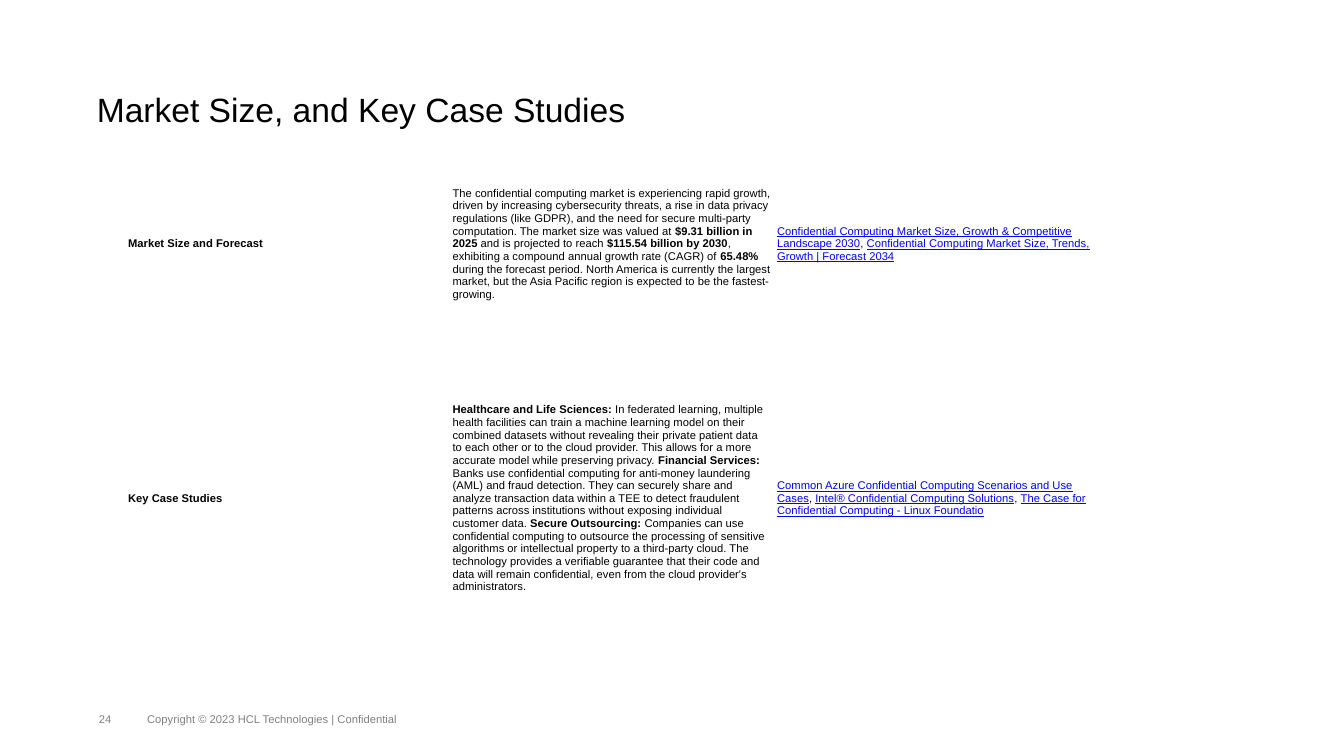
from dataclasses import dataclass

import pptx
import pptx.dml.color
import pptx.enum.text
import pptx.oxml
import pptx.oxml.ns
import pptx.util

Pt = pptx.util.Pt
ANCHOR = pptx.enum.text.MSO_ANCHOR
FONT = "Arial"
BLACK = "000000"
LINK_BLUE = "0000FF"


@dataclass
class Run:
    text: str
    bold: bool = False
    color: str = BLACK
    underline: bool = False


@dataclass
class FooterItem:
    text: str
    left: float
    width: float


def rgb(color: str) -> pptx.dml.color.RGBColor:
    return pptx.dml.color.RGBColor.from_string(color)


def bold(text: str) -> Run:
    return Run(text, bold=True)


def source(text: str) -> Run:
    return Run(text, color=LINK_BLUE, underline=True)


def add_run(p, run: Run, size: float):
    r = p.add_run()
    r.text = run.text
    r.font.name = FONT
    r.font.size = Pt(size)
    r.font.bold = run.bold
    r.font.underline = run.underline
    r.font.color.rgb = rgb(run.color)
    return r


def set_margins(box, horizontal: float, vertical: float) -> None:
    box.margin_left = box.margin_right = Pt(horizontal)
    box.margin_top = box.margin_bottom = Pt(vertical)


def make_half_transparent(r) -> None:
    """Give the run's text colour 50% opacity."""
    color = r.font.fill._xPr.find(".//" + pptx.oxml.ns.qn("a:srgbClr"))
    color.append(pptx.oxml.parse_xml(
        f'<a:alpha {pptx.oxml.ns.nsdecls("a")} val="50000"/>'))


def add_title(s, text: str) -> None:
    sp = s.shapes.title
    sp.left, sp.top, sp.width, sp.height = Pt(69.1), Pt(68.4), Pt(820.8), Pt(24.5)
    tf = sp.text_frame
    tf.word_wrap = True
    tf.auto_size = pptx.enum.text.MSO_AUTO_SIZE.NONE
    tf.vertical_anchor = ANCHOR.TOP
    set_margins(tf, 0, 0)
    p = tf.paragraphs[0]
    p.alignment = pptx.enum.text.PP_ALIGN.LEFT
    p.line_spacing = 0.84
    add_run(p, Run(text), 24)


def add_footer(s, item: FooterItem) -> None:
    sp = s.shapes.add_textbox(Pt(item.left), Pt(509), Pt(item.width), Pt(9.4))
    tf = sp.text_frame
    tf.word_wrap = True
    tf.vertical_anchor = ANCHOR.BOTTOM
    set_margins(tf, 0, 0)
    make_half_transparent(add_run(tf.paragraphs[0], Run(item.text), 8))


def add_findings(s, rows: list[list[list[Run]]], heights: list[float]) -> None:
    column_width = 231.84
    columns = len(rows[0])
    table = s.shapes.add_table(
        len(rows), columns, Pt(89.3), Pt(105.8),
        Pt(column_width * columns), Pt(sum(heights))).table
    table.first_row = table.horz_banding = False
    for column in table.columns:
        column.width = Pt(column_width)
    for i, (row, height) in enumerate(zip(rows, heights)):
        table.rows[i].height = Pt(height)
        for j, runs in enumerate(row):
            cell = table.cell(i, j)
            cell.fill.background()
            cell.vertical_anchor = ANCHOR.MIDDLE
            set_margins(cell, 2.2, 0.7)
            for run in runs:
                add_run(cell.text_frame.paragraphs[0], run, 8)


FOOTER = [
    FooterItem("24", 70.6, 18.7),
    FooterItem("Copyright © 2023 HCL Technologies | Confidential", 105.1, 324),
]

ROWS = [
    [
        [bold("Market Size and Forecast")],
        [
            Run("The confidential computing market is experiencing rapid growth, driven by "
                "increasing cybersecurity threats, a rise in data privacy regulations (like "
                "GDPR), and the need for secure multi-party computation. The market size was "
                "valued at "),
            bold("$9.31 billion in 2025"),
            Run(" and is projected to reach "),
            bold("$115.54 billion by 2030"),
            Run(", exhibiting a compound annual growth rate (CAGR) of "),
            bold("65.48%"),
            Run(" during the forecast period. North America is currently the largest market, "
                "but the Asia Pacific region is expected to be the fastest-growing."),
        ],
        [
            source("Confidential Computing Market Size, Growth & Competitive Landscape 2030"),
            Run(", "),
            source("Confidential Computing Market Size, Trends, Growth | Forecast 2034"),
        ],
    ],
    [
        [bold("Key Case Studies")],
        [
            bold("Healthcare and Life Sciences:"),
            Run(" In federated learning, multiple health facilities can train a machine "
                "learning model on their combined datasets without revealing their private "
                "patient data to each other or to the cloud provider. This allows for a more "
                "accurate model while preserving privacy. "),
            bold("Financial Services:"),
            Run(" Banks use confidential computing for anti-money laundering (AML) and fraud "
                "detection. They can securely share and analyze transaction data within a TEE "
                "to detect fraudulent patterns across institutions without exposing individual "
                "customer data. "),
            bold("Secure Outsourcing:"),
            Run(" Companies can use confidential computing to outsource the processing of "
                "sensitive algorithms or intellectual property to a third-party cloud. The "
                "technology provides a verifiable guarantee that their code and data will "
                "remain confidential, even from the cloud provider's administrators."),
        ],
        [
            source("Common Azure Confidential Computing Scenarios and Use Cases"),
            Run(", "),
            source("Intel® Confidential Computing Solutions"),
            Run(", "),
            source("The Case for Confidential Computing - Linux Foundatio"),
        ],
    ],
]


def main() -> None:
    prs = pptx.Presentation()
    prs.slide_width, prs.slide_height = Pt(960), Pt(540)
    s = prs.slides.add_slide(prs.slide_layouts[5])
    add_title(s, "Market Size, and Key Case Studies")
    add_findings(s, ROWS, [136.8, 226.8])
    for item in FOOTER:
        add_footer(s, item)
    prs.save("out.pptx")


if __name__ == "__main__":
    main()
